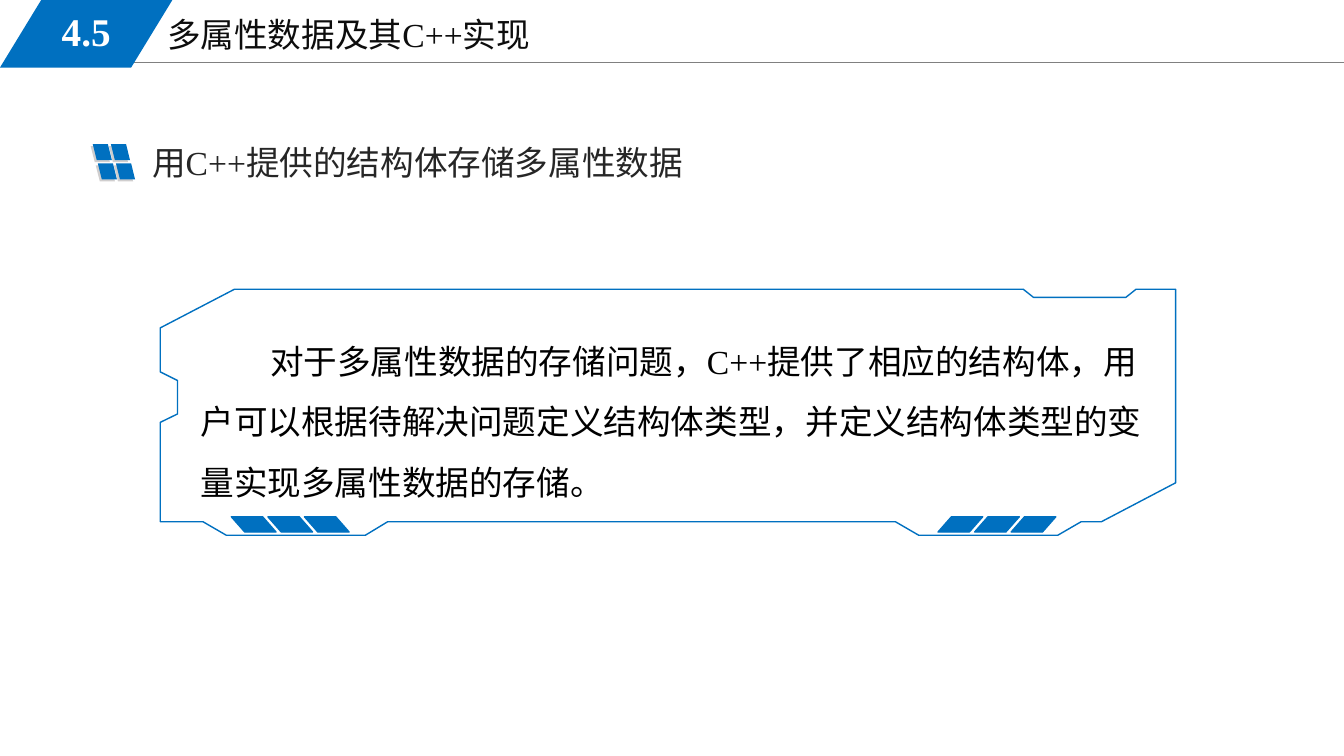
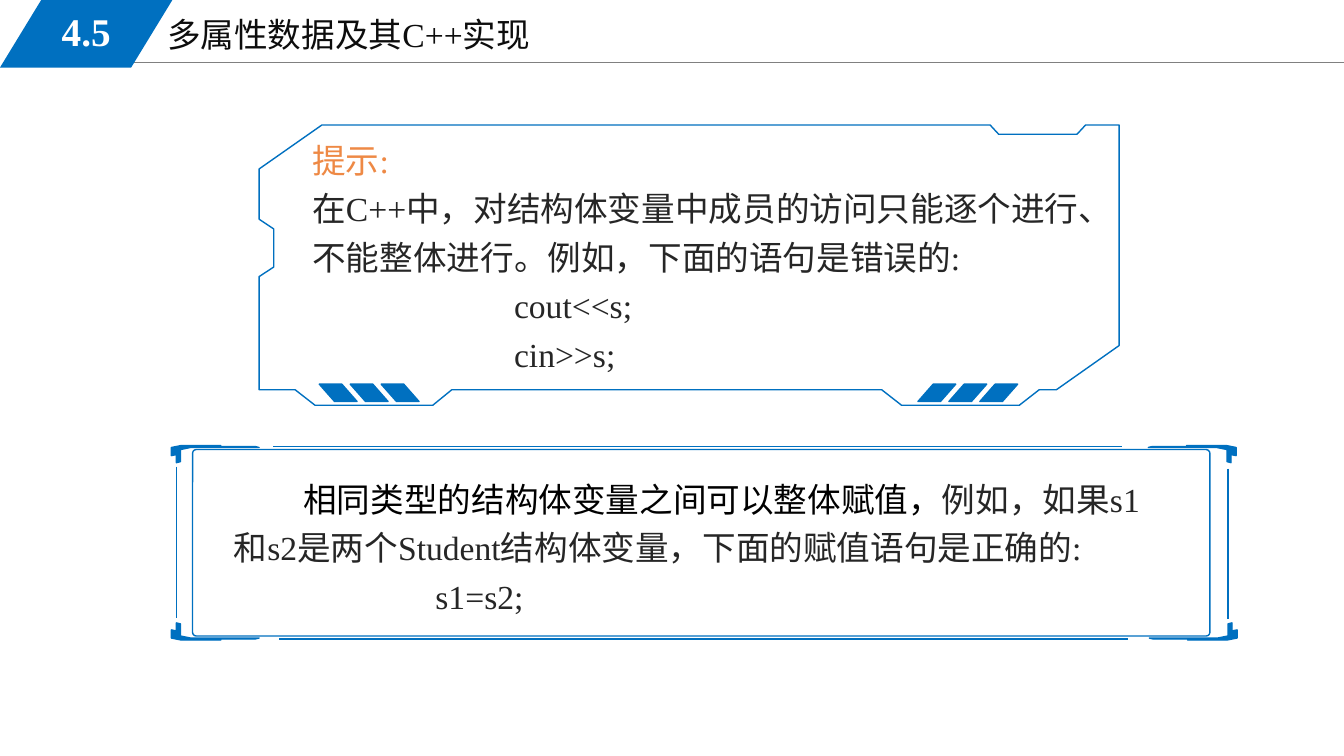
from lxml.etree import SubElement
from pptx import Presentation
from pptx.dml.color import RGBColor
from pptx.enum.shapes import MSO_CONNECTOR, MSO_SHAPE
from pptx.enum.text import MSO_ANCHOR, PP_ALIGN
from pptx.oxml.ns import qn
from pptx.util import Inches, Pt

COLORS = {name: RGBColor.from_string(value) for name, value in {
    "blue": "0070C0", "rule": "808080", "shade": "D0CECE", "title": "0D0D0D",
    "ink": "262626", "black": "000000", "white": "FFFFFF", "hint": "EE8945",
}.items()}
SERIF, SANS = "Times New Roman", "Noto Sans CJK SC"


def slanted(slide, box, slant, color, mirrored=False, outlined=False):
    """Add a filled parallelogram; mirrored ones lean to the left."""
    shape = slide.shapes.add_shape(MSO_SHAPE.PARALLELOGRAM, *map(Inches, box))
    shape.shadow.inherit = False
    shape.adjustments[0] = slant
    shape.fill.solid()
    shape.fill.fore_color.rgb = COLORS[color]
    if outlined:
        shape.line.color.rgb = COLORS[color]
        shape.line.width = Pt(1)
    else:
        shape.line.fill.background()
    if mirrored:
        shape.element.spPr.find(qn("a:xfrm")).set("flipH", "1")


def write(slide, box, paragraphs, anchor=MSO_ANCHOR.TOP, **font_format):
    """Add a text box; a paragraph is (format, margins, runs), a run is (text, font, colour)."""
    frame = slide.shapes.add_textbox(*map(Inches, box)).text_frame
    frame.word_wrap = True
    frame.vertical_anchor = anchor
    for number, (layout, margins, runs) in enumerate(paragraphs):
        paragraph = frame.add_paragraph() if number else frame.paragraphs[0]
        for name, value in layout.items():
            setattr(paragraph, name, value)
        for name, value in margins.items():
            paragraph._p.get_or_add_pPr().set(name, str(Inches(value)))
        for text, font, color in runs:
            run = paragraph.add_run()
            run.text = text
            for name, value in {"size": Pt(24), "name": font, **font_format}.items():
                setattr(run.font, name, value)
            run.font.color.rgb = COLORS[color]
            SubElement(run._r.get_or_add_rPr(), qn("a:ea")).set("typeface", SANS)


prs = Presentation()
prs.slide_width, prs.slide_height = Inches(13.33), Inches(7.5)
storage, assignment = [prs.slides.add_slide(prs.slide_layouts[6]) for _ in range(2)]

# Lines: header rule on both slides, frame lines on the second
FRAME_LINES = [(2.71, 4.43, 11.13, 4.43), (2.77, 6.34, 11.19, 6.34),
               (1.75, 4.63, 1.75, 6.13), (12.18, 4.65, 12.18, 6.14)]
HEADER_RULE = (1.13, 0.62, 13.33, 0.62)
for slide, ends, color, width in [
    (storage, HEADER_RULE, "rule", 0.75),
    (assignment, HEADER_RULE, "rule", 0.75),
    *[(assignment, ends, "blue", 1) for ends in FRAME_LINES],
]:
    rule = slide.shapes.add_connector(MSO_CONNECTOR.STRAIGHT, *map(Inches, ends))
    rule.line.color.rgb = COLORS[color]
    rule.line.width = Pt(width)
    SubElement(rule.element.spPr, qn("a:effectLst"))

# Panel outline, in thousandths of the panel's width and height
PANEL = [(747, 1000), (884, 1000), (907, 945), (927, 945), (1000, 787), (1000, 0),
         (961, 0), (951, 33), (860, 33), (850, 0), (73, 0), (0, 157), (0, 336),
         (17, 371), (17, 507), (0, 541), (0, 945), (42, 945), (65, 1000),
         (202, 1000), (224, 945), (724, 945)]

# Header and notched panel on each slide
for slide, (left, top, width, height) in [
    (storage, (1.59, 2.87, 10.07, 2.44)),
    (assignment, (2.57, 1.24, 8.53, 2.78)),
]:
    write(slide, (1.56, 0.09, 5.67, 0.51),
          [({}, {}, [("多属性数据及其C++实现", SERIF, "title")])])
    slanted(slide, (0, 0, 1.71, 0.67), 0.61, "blue")
    write(slide, (0.25, 0.02, 1.21, 0.58),
          [({"alignment": PP_ALIGN.CENTER}, {}, [("4.5", SERIF, "white")])],
          MSO_ANCHOR.MIDDLE, size=Pt(28), bold=True)

    outline = slide.shapes.build_freeform(
        *PANEL[0], scale=(Inches(width) / 1000, Inches(height) / 1000))
    outline.add_line_segments(PANEL[1:], close=True)
    panel = outline.convert_to_shape(Inches(left), Inches(top))
    panel.shadow.inherit = False
    panel.fill.background()
    panel.line.color.rgb = COLORS["blue"]
    panel.line.width = Pt(1)

    for start, mirrored in [(7, True), (76.6, False)]:
        for stripe in range(3):
            x = left + width * (start + 3.6 * stripe) / 100
            slanted(slide, (x, top + 0.925 * height, 0.044 * width, 0.062 * height),
                    0.88, "blue", mirrored, outlined=True)

# Storage: window-shaped bullet with its shade, heading and explanation
for color, shift in [("shade", 0.02), ("blue", 0)]:
    for row in range(2):
        for column in range(2):
            x = 0.92 - shift + 0.18 * column + 0.05 * row
            slanted(storage, (x, 1.43 + shift + 0.19 * row, 0.19, 0.16),
                    0.25, color, mirrored=True)
write(storage, (1.41, 1.36, 5.59, 0.5), [({}, {}, [
    ("用", SANS, "ink"), ("C++", SERIF, "ink"),
    ("提供的结构体存储多属性数据", SANS, "ink")])])
write(storage, (1.89, 3.13, 9.67, 1.92), [({"line_spacing": 1.5}, {"indent": 0.69}, [
    ("对于多属性数据的存储问题，", SANS, "black"), ("C++", SERIF, "black"),
    ("提供了相应的结构体，用户可以根据待解决问题定义结构体类型，"
     "并定义结构体类型的变量实现多属性数据的存储。", SANS, "black")])])

# Assignment: hint in the panel
SPACED, CODE = {"line_spacing": 1.2}, {"marL": 2}
write(assignment, (3, 1.26, 7.96, 2.55), [
    (SPACED, {}, [("提示:", SERIF, "hint")]),
    (SPACED, {}, [("在C++中，对结构体变量中成员的访问只能逐个进行、"
                   "不能整体进行。例如，下面的语句是错误的:", SERIF, "ink")]),
    (SPACED, CODE, [("cout<<s;", SERIF, "ink")]),
    (SPACED, CODE, [("cin>>s;", SERIF, "ink")]),
])

# Assignment: rounded frame with four mirrored corner brackets
frame = assignment.shapes.add_shape(
    MSO_SHAPE.ROUNDED_RECTANGLE, *map(Inches, (1.91, 4.46, 10.09, 1.85)))
frame.shadow.inherit = False
frame.adjustments[0] = 0.02
frame.fill.background()
frame.line.color.rgb = COLORS["blue"]
frame.line.width = Pt(1)

# Bracket points in hundredths of an inch, inwards from the corner
BRACKET = [(10, 0), (49, 0), (44, 1), (83, 1), (87, 2), (19, 2), (9, 4), (9, 16),
           (5, 17), (5, 9), (0, 10), (0, 2)]
for corner_x, corner_y, toward_x, toward_y in [
    (170, 442, 1, 1), (1226, 442, -1, 1), (170, 635, 1, -1), (1227, 635, -1, -1),
]:
    points = [(corner_x + toward_x * x, corner_y + toward_y * y) for x, y in BRACKET]
    outline = assignment.shapes.build_freeform(*points[0], scale=Inches(0.01))
    outline.add_line_segments(points[1:], close=True)
    bracket = outline.convert_to_shape()
    bracket.shadow.inherit = False
    bracket.fill.solid()
    bracket.fill.fore_color.rgb = COLORS["blue"]
    bracket.line.color.rgb = COLORS["blue"]
    bracket.line.width = Pt(1)

write(assignment, (2.22, 4.62, 9.41, 1.64), [
    (SPACED, {"indent": 0.69}, [
        ("相同类型的结构体变量之间可以整体赋值，", SERIF, "black"),
        ("例如，如果s1和s2是两个Student结构体变量，下面的赋值语句是正确的:", SERIF, "ink")]),
    (SPACED, CODE, [("s1=s2;", SERIF, "ink")]),
])

prs.save("out.pptx")
